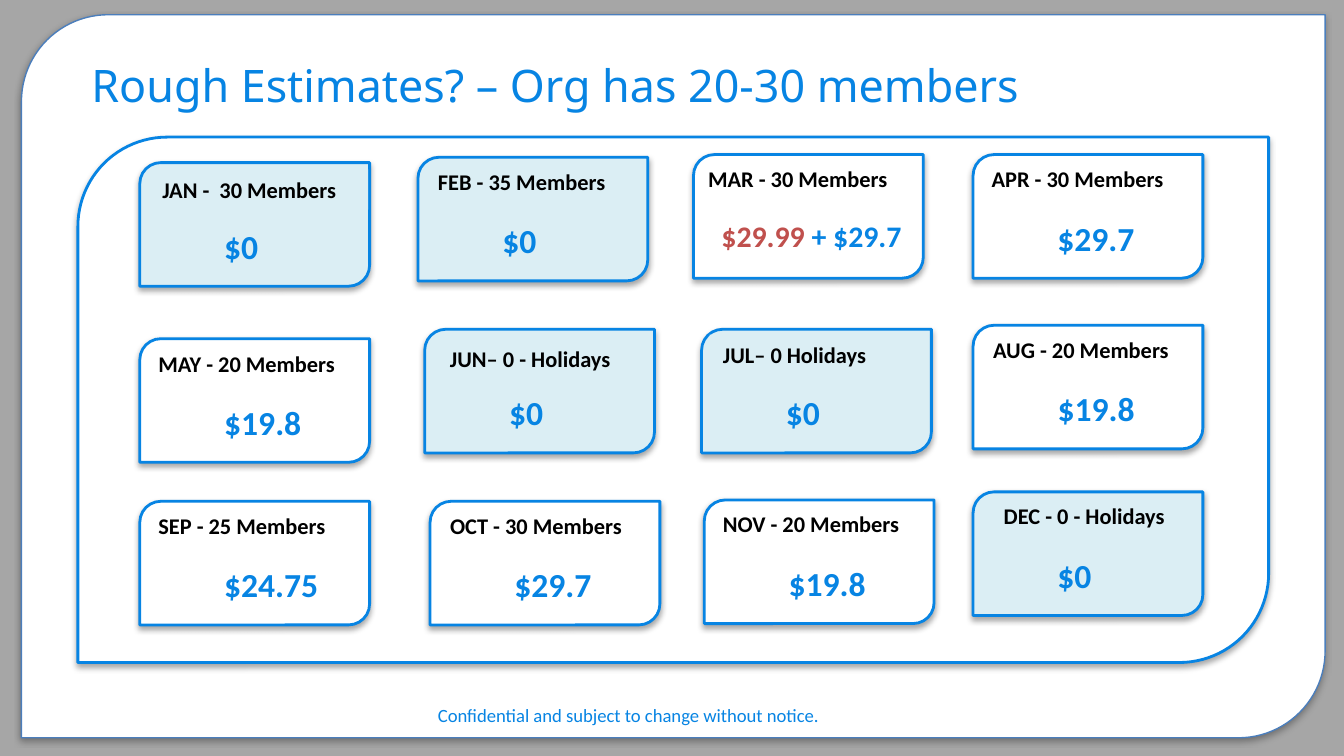
from dataclasses import dataclass

from lxml import etree
from pptx import Presentation
from pptx.dml import color
from pptx.enum import shapes, text
from pptx.oxml import ns
from pptx.util import Inches, Pt


@dataclass(frozen=True)
class Theme:
    back: str = "A6A6A6"
    white: str = "FFFFFF"
    tint: str = "DBEEF4"
    blue: str = "0784E3"
    edge: str = "4B7EBC"
    red: str = "C0504D"
    black: str = "000000"
    head: str = "Noto Sans"
    body: str = "Calibri"
    title: int = 24
    price: int = 18
    pair: int = 16
    label: int = 12
    note: int = 10


@dataclass(frozen=True)
class Card:
    left: float
    top: float
    label: str
    price: str
    shift: float = 0.04
    drop: float = 0.03
    wide: float = 1.82
    span: float = 0.95
    free: bool = False
    plate: bool = False
    extra: str = ""


T = Theme()
WIDE, HIGH = 1.71, 0.92

CARDS = [
    Card(1.04, 1.21, "JAN -  30 Members", "$0", 0.07, 0.05, 1.63, 0.54, True, True),
    Card(3.11, 1.17, "FEB - 35 Members", "$0", 0.05, span=0.54, free=True),
    Card(5.16, 1.15, "MAR - 30 Members", "+ $29.7", 0.01, span=1.57, extra="$29.99 "),
    Card(7.24, 1.15, "APR - 30 Members", "$29.7", span=0.9),
    Card(1.04, 2.52, "MAY - 20 Members", "$19.8", drop=0.04),
    Card(3.16, 2.45, "JUN– 0 - Holidays", "$0", 0.09, 0.07, 1.53, 0.54, True, True),
    Card(5.22, 2.45, "JUL– 0 Holidays", "$0", 0.06, 0.04, 1.59, 0.54, True, True),
    Card(7.24, 2.42, "AUG - 20 Members", "$19.8", 0.05, span=0.88),
    Card(1.04, 3.73, "SEP - 25 Members", "$24.75", span=1),
    Card(3.2, 3.73, "OCT - 30 Members", "$29.7", 0.05, span=0.87),
    Card(5.24, 3.72, "NOV - 20 Members", "$19.8", span=0.98),
    Card(7.24, 3.66, "DEC - 0 - Holidays", "$0", 0.13, 0.03, 1.47, 0.54, True, True),
]


def rgb(code: str) -> color.RGBColor:
    return color.RGBColor.from_string(code)


def paint(item, code: str) -> None:
    item.fill.solid()
    item.fill.fore_color.rgb = rgb(code)


def write(box, words: str, *, size: int, ink: str = T.blue,
          font: str = T.body, bold: bool = False) -> None:
    frame = box.text_frame
    frame.word_wrap = True
    frame.auto_size = text.MSO_AUTO_SIZE.SHAPE_TO_FIT_TEXT
    frame.vertical_anchor = text.MSO_ANCHOR.TOP
    line = frame.paragraphs[0]
    line.alignment = text.PP_ALIGN.LEFT
    run = line.add_run()
    run.text = words
    run.font.size = Pt(size)
    run.font.name = font
    run.font.bold = bold
    run.font.color.rgb = rgb(ink)


def place(left: float, top: float, wide: float, high: float) -> tuple[int, ...]:
    return tuple(Inches(n) for n in (left, top, wide, high))


def shade(shape) -> None:
    shape.shadow.inherit = False
    group = shape._element.spPr.find(ns.qn("a:effectLst"))
    drop = etree.SubElement(group, ns.qn("a:outerShdw"), blurRad="40000",
                            dist="23000", dir="5400000", rotWithShape="0")
    tone = etree.SubElement(drop, ns.qn("a:srgbClr"), val=T.black)
    etree.SubElement(tone, ns.qn("a:alpha"), val="35000")


def panel(tree, left: float, top: float, wide: float, high: float, *,
          fill: str = T.white, edge: str = T.blue, width: float = 1.5,
          curve: float = 0.17) -> None:
    shape = tree.add_shape(shapes.MSO_SHAPE.ROUND_2_DIAG_RECTANGLE,
                           *place(left, top, wide, high))
    shape.adjustments[0] = curve
    paint(shape, fill)
    shape.line.color.rgb = rgb(edge)
    shape.line.width = Pt(width)
    shade(shape)


def draw(tree, card: Card) -> None:
    group = tree.add_group_shape().shapes
    panel(group, card.left, card.top, WIDE, HIGH, fill=T.tint if card.free else T.white)
    label = group.add_textbox(*place(card.left + card.shift, card.top + card.drop,
                                     card.wide, 0.3))
    write(label, card.label, size=T.label, ink=T.black, bold=True)
    inset, high, size = (0.11, 0.37, T.pair) if card.extra else (0.53, 0.4, T.price)
    price = group.add_textbox(*place(card.left + inset, card.top + 0.42, card.span, high))
    if card.extra:
        write(price, card.extra, size=size, ink=T.red, bold=True)
    write(price, card.price, size=size, bold=True)
    if card.plate:
        paint(label, T.tint)
        paint(price, T.tint)


def main() -> None:
    deck = Presentation()
    deck.slide_width = Inches(10)
    deck.slide_height = deck.slide_width * 9 // 16
    slide = deck.slides.add_slide(deck.slide_layouts[5])
    paint(slide.background, T.back)
    tree = slide.shapes
    title = tree.title
    panel(tree, 0.16, 0.11, 9.7, 5.38, edge=T.edge, width=0.75, curve=0.12)
    note = tree.add_textbox(*place(3.16, 5.19, 3.1, 0.44))
    write(note, "Confidential and subject to change without notice.", size=T.note)
    title.left, title.top, title.width, title.height = place(0.58, 0.38, 8.09, 0.5)
    write(title, "Rough Estimates? – Org has 20-30 members", size=T.title, font=T.head)
    note._element.addnext(title._element)
    panel(tree, 0.58, 1.02, 8.86, 3.91)
    for card in CARDS:
        draw(tree, card)
    deck.save("out.pptx")


if __name__ == "__main__":
    main()
